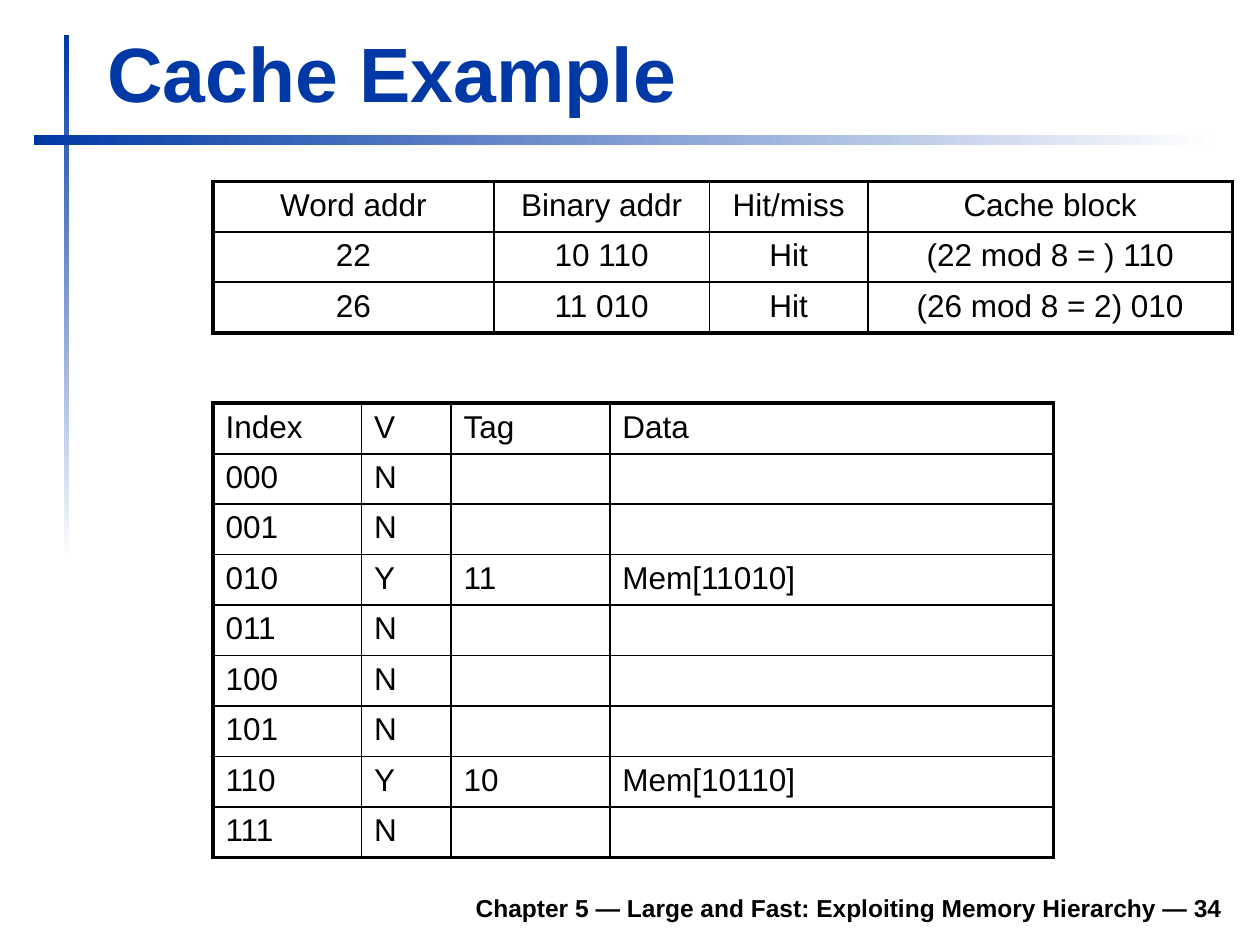
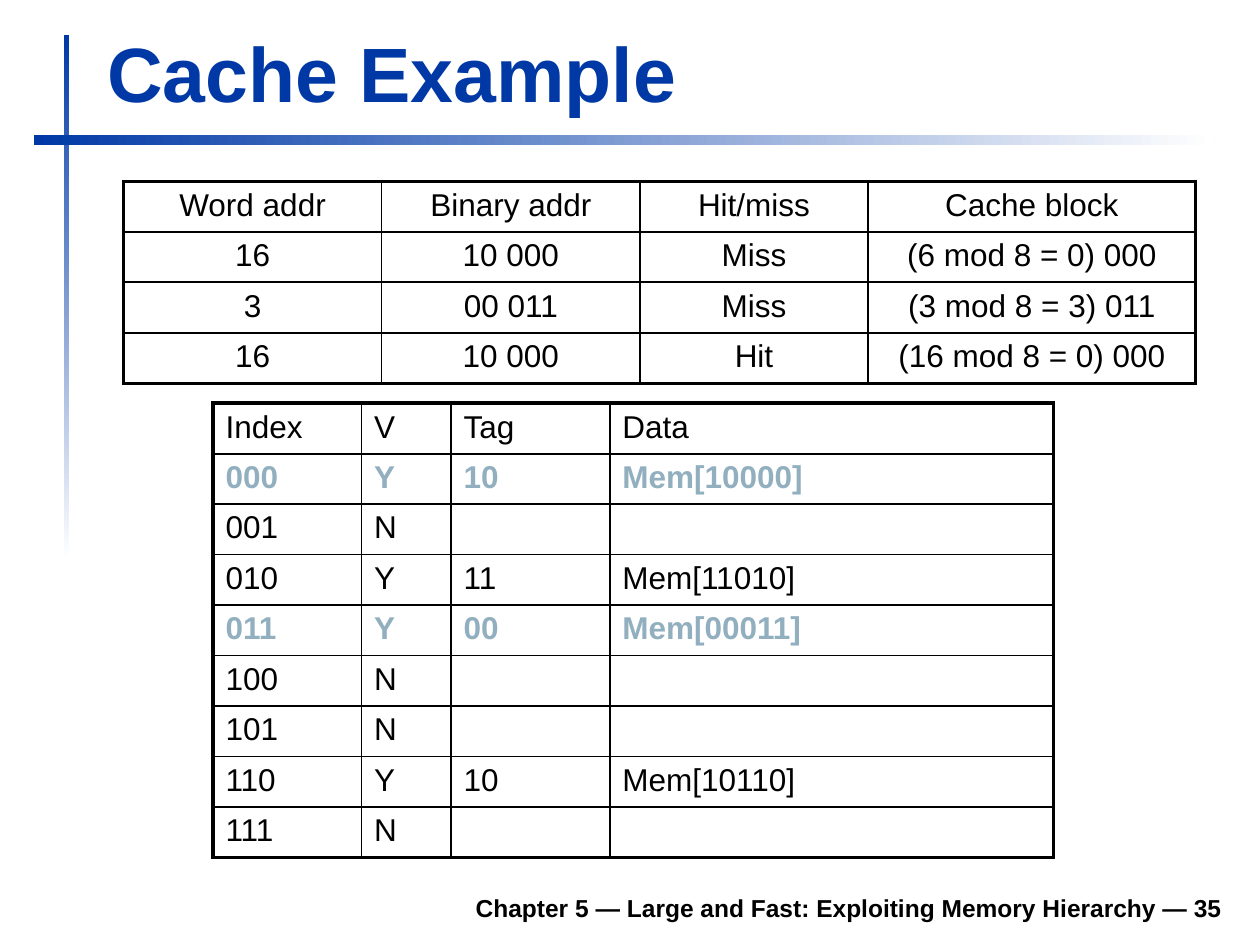
from dataclasses import dataclass, field

from lxml.etree import SubElement
from pptx import Presentation
from pptx.dml.color import RGBColor
from pptx.enum.shapes import MSO_SHAPE
from pptx.enum.text import MSO_ANCHOR, MSO_AUTO_SIZE, PP_ALIGN
from pptx.oxml.ns import qn
from pptx.presentation import Presentation as Deck
from pptx.slide import Slide
from pptx.table import _Cell as Cell
from pptx.text.text import _Paragraph as Paragraph
from pptx.util import Inches, Pt


@dataclass(frozen=True)
class Theme:
    font: str = "Arial"
    accent: RGBColor = RGBColor(0x00, 0x39, 0xA6)
    white: RGBColor = RGBColor(0xFF, 0xFF, 0xFF)
    text: RGBColor = RGBColor(0x00, 0x00, 0x00)
    highlight: RGBColor = RGBColor(0x91, 0xAF, 0xBF)
    title_size: int = 44
    cell_size: int = 18
    footer_size: int = 14
    outer_line: float = 2.25
    header_line: float = 1.5
    inner_line: float = 1


@dataclass(frozen=True)
class Band:
    left: float
    top: float
    width: float
    height: float
    angle: int


@dataclass(frozen=True)
class Grid:
    left: float
    top: float
    columns: tuple[float, ...]
    rows: list[tuple[str, ...]]
    row_line: float
    alignment: PP_ALIGN
    highlighted: set[str] = field(default_factory=set)


@dataclass(frozen=True)
class CacheStep:
    page: int
    left: float
    columns: tuple[float, ...]
    accesses: list[tuple[str, ...]]
    tags: dict[str, str]
    changed: set[str] = field(default_factory=set)


THEME = Theme()
TITLE = "Cache Example"
FOOTER = "Chapter 5 — Large and Fast: Exploiting Memory Hierarchy — "
ROW_HEIGHT = 0.4
BANDS = (
    Band(0.51, 0.28, 0.04, 4.17, angle=270),
    Band(0.27, 1.07, 9.37, 0.08, angle=0),
)
ACCESS_HEADER = ("Word addr", "Binary addr", "Hit/miss", "Cache block")
CACHE_HEADER = ("Index", "V", "Tag", "Data")

STEPS = (
    CacheStep(
        page=34,
        left=1.69,
        columns=(2.23, 1.71, 1.26, 2.89),
        accesses=[
            ("22", "10 110", "Hit", "(22 mod 8 = ) 110"),
            ("26", "11 010", "Hit", "(26 mod 8 = 2) 010"),
        ],
        tags={"010": "11", "110": "10"},
    ),
    CacheStep(
        page=35,
        left=0.98,
        columns=(2.05, 2.05, 1.81, 2.6),
        accesses=[
            ("16", "10 000", "Miss", "(6 mod 8 = 0) 000"),
            ("3", "00 011", "Miss", "(3 mod 8 = 3) 011"),
            ("16", "10 000", "Hit", "(16 mod 8 = 0) 000"),
        ],
        tags={"000": "10", "010": "11", "011": "00", "110": "10"},
        changed={"000", "011"},
    ),
)


def style_paragraph(paragraph: Paragraph, size: int, color: RGBColor,
                    bold: bool, alignment: PP_ALIGN) -> None:
    paragraph.alignment = alignment
    paragraph.font.name = THEME.font
    paragraph.font.size = Pt(size)
    paragraph.font.bold = bold
    paragraph.font.color.rgb = color


def add_band(slide: Slide, band: Band) -> None:
    shape = slide.shapes.add_shape(
        MSO_SHAPE.RECTANGLE, Inches(band.left), Inches(band.top),
        Inches(band.width), Inches(band.height))
    shape.shadow.inherit = False
    shape.line.fill.background()
    shape.fill.gradient()
    shape.fill.gradient_angle = band.angle
    for stop, color in zip(shape.fill.gradient_stops, (THEME.accent, THEME.white)):
        stop.color.rgb = color


def format_title(slide: Slide) -> None:
    title = slide.shapes.title
    title.left, title.top = Inches(0.75), Inches(0.16)
    title.width, title.height = Inches(9.03), Inches(0.83)
    frame = title.text_frame
    frame.text = TITLE
    frame.vertical_anchor = MSO_ANCHOR.BOTTOM
    frame.auto_size = MSO_AUTO_SIZE.SHAPE_TO_FIT_TEXT
    style_paragraph(frame.paragraphs[0], THEME.title_size, THEME.accent,
                    True, PP_ALIGN.LEFT)


def add_footer(slide: Slide, page: int) -> None:
    box = slide.shapes.add_textbox(
        Inches(1.85), Inches(6.98), Inches(7.95), Inches(0.39))
    frame = box.text_frame
    frame.word_wrap = True
    frame.vertical_anchor = MSO_ANCHOR.BOTTOM
    frame.text = f"{FOOTER}{page}"
    style_paragraph(frame.paragraphs[0], THEME.footer_size, THEME.text,
                    True, PP_ALIGN.RIGHT)


def set_borders(cell: Cell, left: float, right: float,
                top: float, bottom: float) -> None:
    properties = cell._tc.get_or_add_tcPr()
    widths = {"a:lnL": left, "a:lnR": right, "a:lnT": top, "a:lnB": bottom}
    for tag, width in widths.items():
        line = SubElement(properties, qn(tag), w=str(Pt(width)))
        fill = SubElement(line, qn("a:solidFill"))
        SubElement(fill, qn("a:srgbClr"), val=str(THEME.text))


def add_grid(slide: Slide, grid: Grid) -> None:
    row_count, column_count = len(grid.rows), len(grid.columns)
    table = slide.shapes.add_table(
        row_count, column_count, Inches(grid.left), Inches(grid.top),
        Inches(sum(grid.columns)), Inches(ROW_HEIGHT * row_count)).table
    table.first_row = table.horz_banding = False
    for column, width in zip(table.columns, grid.columns):
        column.width = Inches(width)

    outer = THEME.outer_line
    row_lines = [outer, THEME.header_line, *[grid.row_line] * (row_count - 2), outer]
    column_lines = [outer, *[THEME.inner_line] * (column_count - 1), outer]
    for row, values in enumerate(grid.rows):
        table.rows[row].height = Inches(ROW_HEIGHT)
        highlighted = values[0] in grid.highlighted
        color = THEME.highlight if highlighted else THEME.text
        for column, value in enumerate(values):
            cell = table.cell(row, column)
            cell.text = value
            set_borders(cell, *column_lines[column:column + 2],
                        *row_lines[row:row + 2])
            cell.fill.background()
            style_paragraph(cell.text_frame.paragraphs[0], THEME.cell_size,
                            color, highlighted, grid.alignment)


def cache_row(index: str, tags: dict[str, str]) -> tuple[str, ...]:
    if index not in tags:
        return index, "N", "", ""
    return index, "Y", tags[index], f"Mem[{tags[index]}{index}]"


def add_step_slide(presentation: Deck, step: CacheStep) -> None:
    slide = presentation.slides.add_slide(
        presentation.slide_layouts.get_by_name("Title Only"))
    for band in BANDS:
        add_band(slide, band)
    add_footer(slide, step.page)
    format_title(slide)
    cache_rows = [cache_row(f"{block:03b}", step.tags) for block in range(8)]
    add_grid(slide, Grid(
        1.69, 3.2, (1.18, 0.71, 1.26, 3.52), [CACHE_HEADER, *cache_rows],
        THEME.inner_line, PP_ALIGN.LEFT, step.changed))
    add_grid(slide, Grid(
        step.left, 1.44, step.columns, [ACCESS_HEADER, *step.accesses],
        THEME.header_line, PP_ALIGN.CENTER))


def main() -> None:
    presentation = Presentation()
    presentation.slide_width = Inches(10)
    presentation.slide_height = Inches(7.5)
    for step in STEPS:
        add_step_slide(presentation, step)
    presentation.save("out.pptx")


if __name__ == "__main__":
    main()
